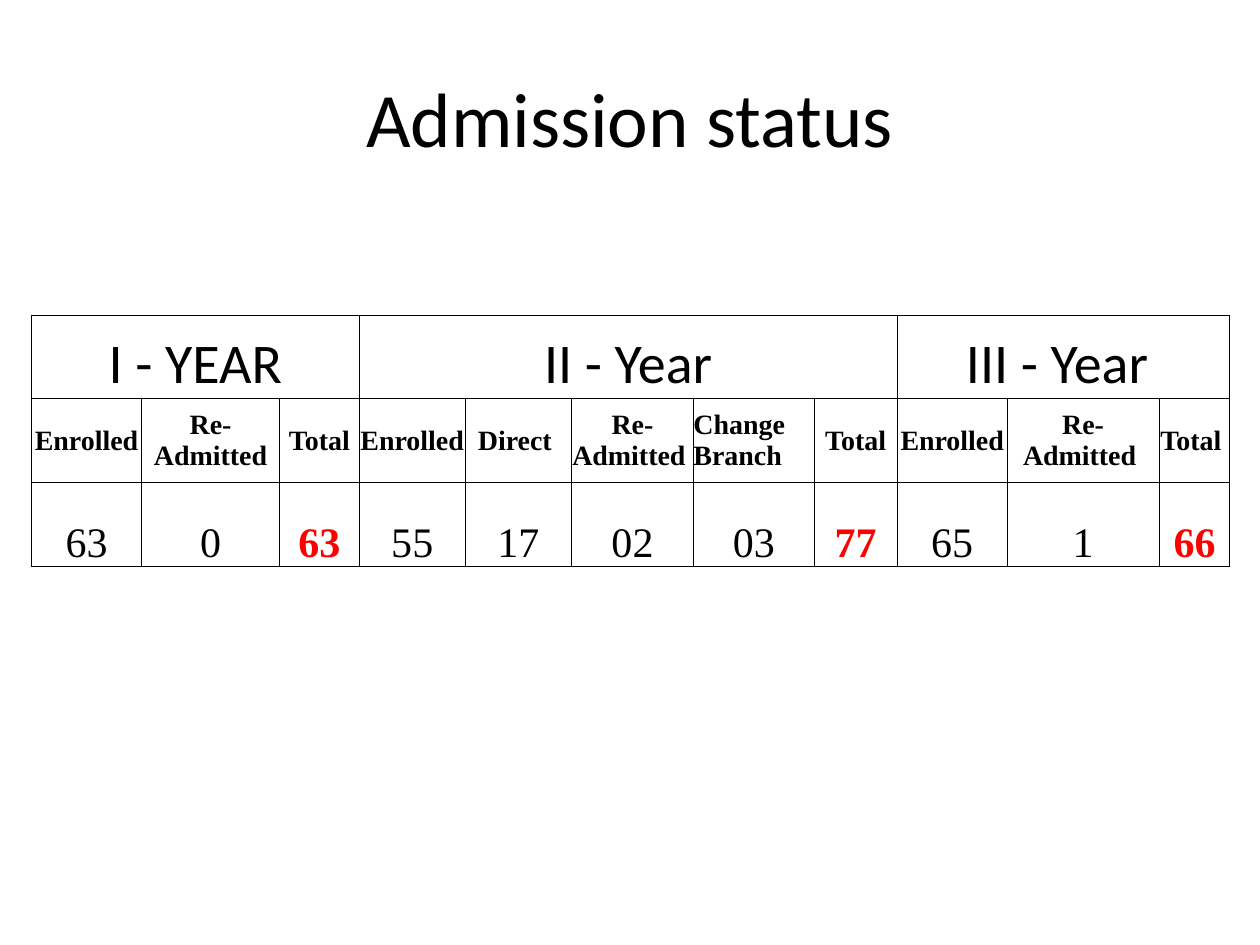
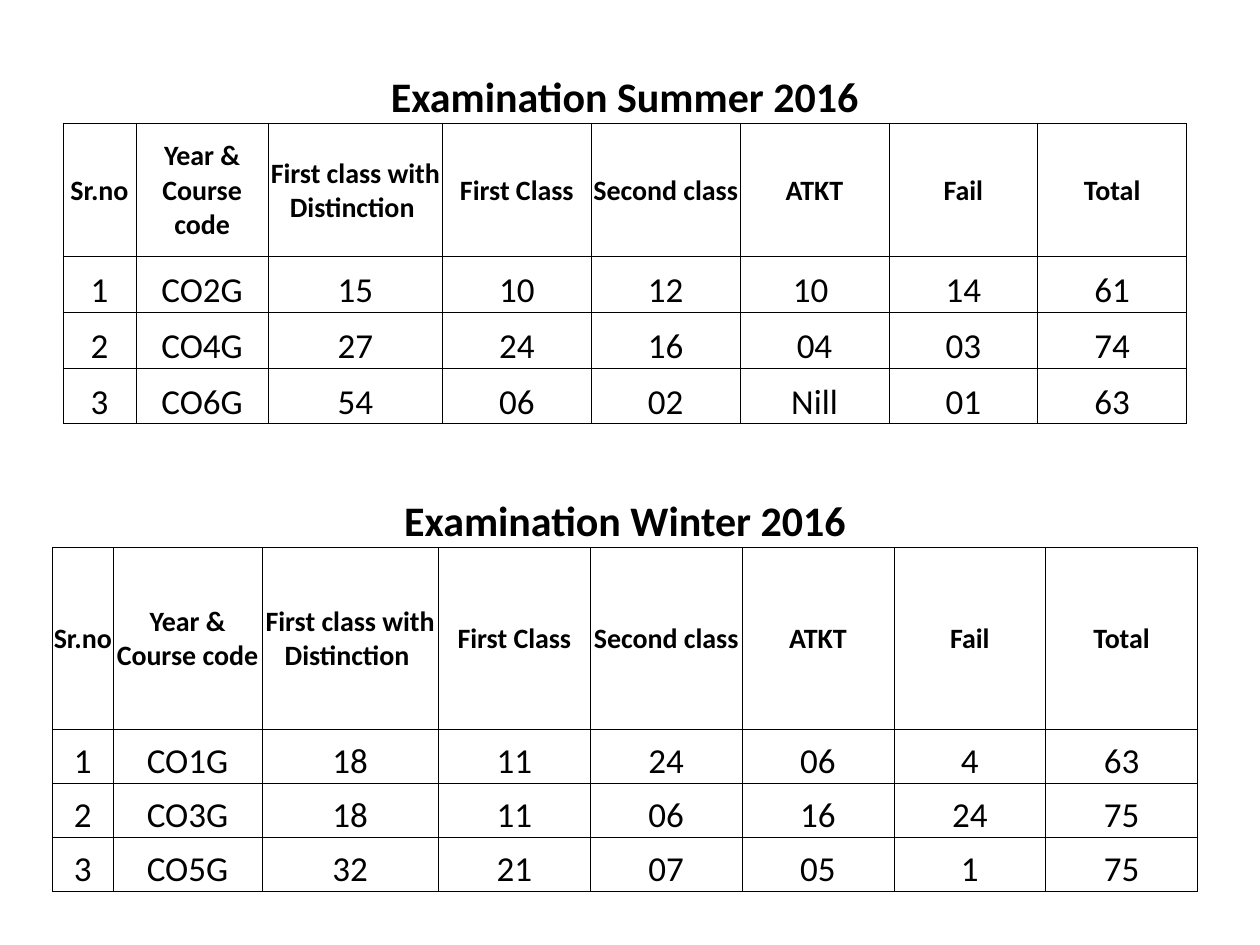
from lxml import etree
from pptx import Presentation
from pptx import util as u
from pptx.dml import color
from pptx.enum import text
from pptx.oxml import ns

BLACK, RED = "000000", "FF0000"
SANS, SERIF = "Calibri", "Times New Roman"
MIDDLE, BOTTOM = text.MSO_ANCHOR.MIDDLE, text.MSO_ANCHOR.BOTTOM


def format_text(frame, font_name, size, bold=False, hex_color=BLACK):
    paragraph = frame.paragraphs[0]
    paragraph.alignment = text.PP_ALIGN.CENTER
    for run in paragraph.runs:
        run.font.name, run.font.size, run.font.bold = font_name, u.Pt(size), bold
        run.font.color.rgb = color.RGBColor.from_string(hex_color)


def add_grid(slide, left, top, widths, heights, rows, styles, margin=0, open_title=False):
    """Draw a bordered table; each style is (font, size, bold, anchor) for one row."""
    frame = slide.shapes.add_table(len(rows), len(widths), u.Cm(left), u.Cm(top),
                                   u.Cm(sum(widths)), u.Cm(sum(heights)))
    table = frame.table
    table.first_row = table.horz_banding = False
    for column, width in zip(table.columns, widths):
        column.width = u.Cm(width)
    for row, height in zip(table.rows, heights):
        row.height = u.Cm(height)
    for row_index, (row, style) in enumerate(zip(rows, styles)):
        font_name, size, bold, anchor = style
        for column_index, value in enumerate(row):
            cell = table.cell(row_index, column_index)
            cell.margin_left = cell.margin_right = cell.margin_top = u.Cm(margin)
            cell.margin_bottom = 0
            cell.vertical_anchor = anchor
            cell.text_frame.text = value
            format_text(cell.text_frame, font_name, size, bold)
            # Cell borders; an open title row keeps only its lower edge
            properties = cell._tc.get_or_add_tcPr()
            for side in ("lnL", "lnR", "lnT", "lnB"):
                line = etree.SubElement(properties, ns.qn(f"a:{side}"), w=str(u.Pt(0.5)))
                if open_title and row_index == 0 and side != "lnB":
                    etree.SubElement(line, ns.qn("a:noFill"))
                else:
                    fill = etree.SubElement(line, ns.qn("a:solidFill"))
                    etree.SubElement(fill, ns.qn("a:srgbClr"), val=BLACK)
            cell.fill.background()
    return table


presentation = Presentation()
presentation.slide_width, presentation.slide_height = u.Cm(25.4), u.Cm(19.05)
blank_layout = presentation.slide_layouts[6]

# Slide 1: admission status
slide = presentation.slides.add_slide(blank_layout)
title = slide.shapes.add_textbox(u.Cm(1.27), u.Cm(0.76), u.Cm(22.86), u.Cm(3.18))
title.text_frame.word_wrap = True
title.text_frame.vertical_anchor = MIDDLE
title.text_frame.text = "Admission status"
format_text(title.text_frame, SANS, 44)

admission_rows = [
    ["I - YEAR", "", "", "II - Year", "", "", "", "", "III - Year ", "", ""],
    ["Enrolled ", "Re-Admitted", "Total", "Enrolled", "Direct ", "Re-Admitted ",
     "Change Branch", "Total", "Enrolled ", "Re-Admitted ", "Total "],
    ["63", "0", "63", "55", "17", "02", "03", "77", "65", "1", "66"],
]
admission_styles = [(SANS, 32, False, BOTTOM), (SERIF, 16, True, MIDDLE),
                    (SERIF, 24, False, BOTTOM)]
admission_widths = [2.21, 2.79, 1.6, 2.14, 2.14, 2.46, 2.43, 1.68, 2.21, 3.07, 1.42]
admissions = add_grid(slide, 0.64, 6.35, admission_widths, [1.69] * 3,
                      admission_rows, admission_styles)

# Each year spans its columns and ends with a red total
for first, last in ((0, 2), (3, 7), (8, 10)):
    admissions.cell(0, first).merge(admissions.cell(0, last))
    format_text(admissions.cell(2, last).text_frame, SERIF, 24, True, RED)
change_branch = admissions.cell(1, 6).text_frame.paragraphs[0]
change_branch.alignment = text.PP_ALIGN.LEFT

# Slide 2: examination results
slide = presentation.slides.add_slide(blank_layout)
result_header = ["Sr.no", "Year & Course code", "First class with Distinction ",
                 "First Class", "Second class", "ATKT", "Fail", "Total"]
result_styles = [(SANS, 24, True, BOTTOM), (SANS, 16, True, MIDDLE)]
result_styles += [(SANS, 20, False, BOTTOM)] * 3
examinations = [
    ("Examination Summer 2016", 1.27, 1.45,
     [1.47, 2.67, 3.51] + [3] * 5, [0.91, 2.69] + [1.12] * 3,
     [["1", "CO2G", "15", "10", "12", "10 ", "14", "61"],
      ["2", "CO4G", "27", "24", "16", "04", "03", "74"],
      ["3", "CO6G", "54", "06", "02", "Nill", "01", "63"]]),
    ("Examination Winter 2016", 1.06, 9.95,
     [1.22, 3, 3.56] + [3.06] * 5, [1.09, 3.66] + [1.09] * 3,
     [["1", "CO1G", "18", "11", "24", "06", "4", "63"],
      ["2", "CO3G", "18", "11", "06", "16", "24", "75"],
      ["3", "CO5G", "32", "21", "07", "05", "1", "75"]]),
]
for name, left, top, widths, heights, results in examinations:
    title_row = [name] + [""] * 7
    table = add_grid(slide, left, top, widths, heights, [title_row, result_header] + results,
                     result_styles, margin=0.02, open_title=True)
    table.cell(0, 0).merge(table.cell(0, 7))

presentation.save("out.pptx")
